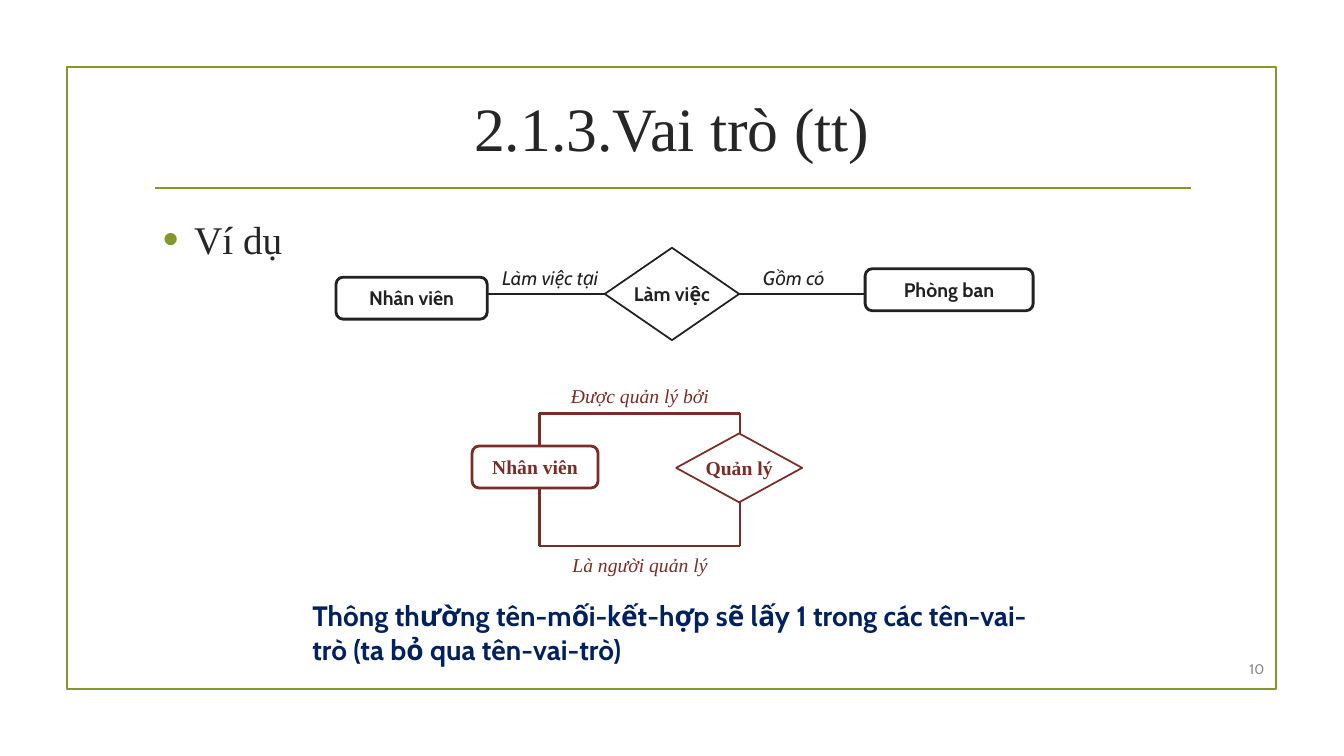
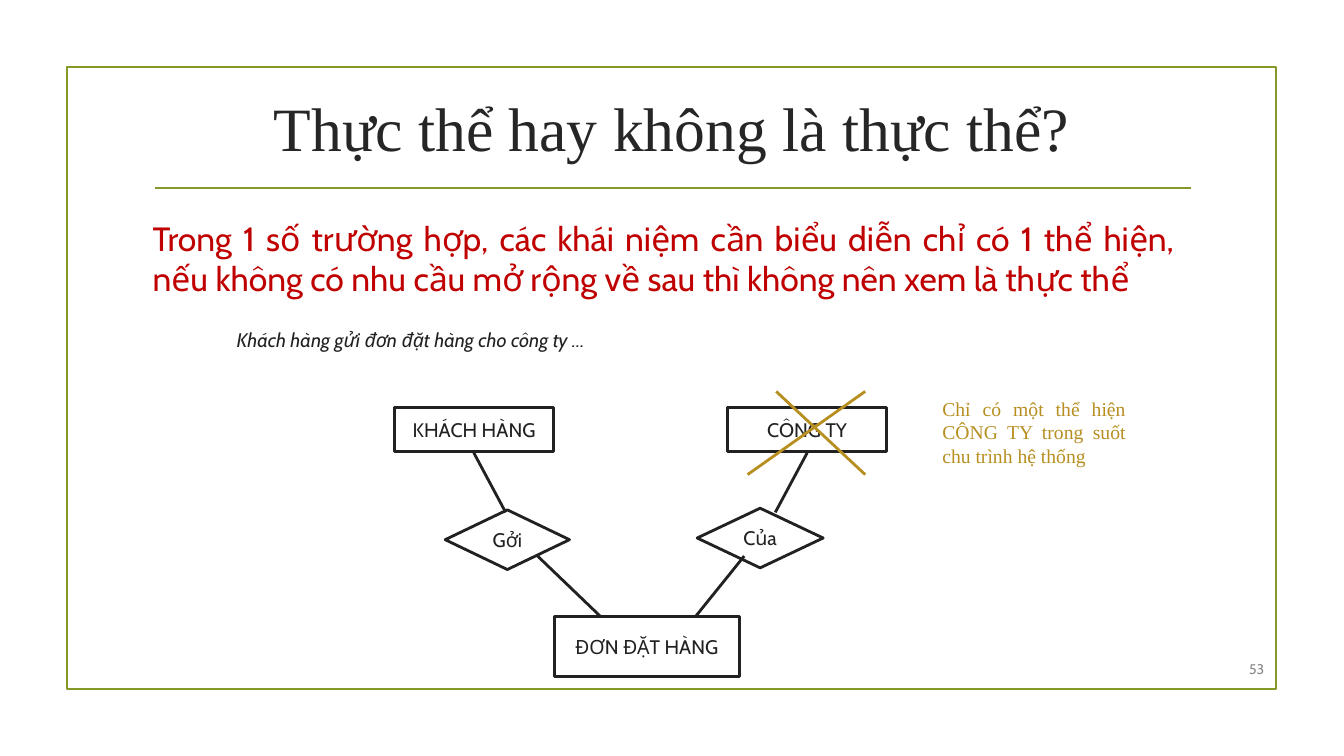
"""Build two slides on roles and entities in entity-relationship models."""
from dataclasses import dataclass
from itertools import pairwise

from lxml import etree
from pptx import Presentation
from pptx import util as u
from pptx.dml.color import RGBColor
from pptx.enum import shapes, text
from pptx.oxml import ns

COLUMNS, ROWS = 160, 90
SLIDE_WIDTH, SLIDE_HEIGHT = u.Inches(13.33), u.Inches(7.5)
ROUND, RECT, DIAMOND = (
    shapes.MSO_SHAPE.ROUNDED_RECTANGLE,
    shapes.MSO_SHAPE.RECTANGLE,
    shapes.MSO_SHAPE.DIAMOND,
)
LEFT, CENTER, RIGHT, JUSTIFY = (
    text.PP_ALIGN.LEFT,
    text.PP_ALIGN.CENTER,
    text.PP_ALIGN.RIGHT,
    text.PP_ALIGN.JUSTIFY,
)
TOP, MIDDLE = text.MSO_ANCHOR.TOP, text.MSO_ANCHOR.MIDDLE


@dataclass(frozen=True)
class Theme:
    """Colours, fonts, type sizes and line widths."""
    sans: str = "Cabin"
    serif: str = "Times New Roman"
    paper: str = "FFFFFF"
    heading: str = "262626"
    ink: str = "212121"
    green: str = "83992A"
    brown: str = "7A2D26"
    gold: str = "B78E20"
    navy: str = "002060"
    red: str = "C00000"
    grey: str = "898989"
    title: int = 44
    bullet: int = 28
    statement: int = 24
    note: int = 20
    label: int = 14
    number: int = 10
    thin: float = 1.25
    thick: float = 2


THEME = Theme()


def across(columns):
    """Turn grid columns into a length."""
    return u.Emu(round(SLIDE_WIDTH * columns / COLUMNS))


def down(rows):
    """Turn grid rows into a length."""
    return u.Emu(round(SLIDE_HEIGHT * rows / ROWS))


def area(left, top, width, height):
    """Turn a grid area into slide lengths."""
    return across(left), down(top), across(width), down(height)


def write(box, words, *, size=THEME.label, font=THEME.sans, color=THEME.ink,
          bold=False, italic=False, align=LEFT, anchor=TOP, wrap=True):
    """Put one formatted paragraph in a box and return it."""
    frame = box.text_frame
    frame.auto_size = text.MSO_AUTO_SIZE.NONE
    frame.word_wrap = wrap
    frame.vertical_anchor = anchor
    para = frame.paragraphs[0]
    para.alignment = align
    span = para.add_run()
    span.text = words
    span.font.name, span.font.size = font, u.Pt(size)
    span.font.bold, span.font.italic = bold, italic
    span.font.color.rgb = RGBColor.from_string(color)
    return para


def add_text(page, words, place, **style):
    """Add a text box on the grid."""
    write(page.shapes.add_textbox(*area(*place)), words, **style)


def stroke(line, color, width):
    """Set the colour and width of a line."""
    line.color.rgb = RGBColor.from_string(color)
    line.width = u.Pt(width)


def add_path(page, *points, color=THEME.ink, width=THEME.thick):
    """Join grid points with straight connectors."""
    for start, end in pairwise(points):
        connector = page.shapes.add_connector(
            shapes.MSO_CONNECTOR.STRAIGHT,
            across(start[0]), down(start[1]), across(end[0]), down(end[1]))
        stroke(connector.line, color, width)
        etree.SubElement(connector._element.spPr, ns.qn("a:effectLst"))


def add_outline(page, kind, place, color, width, fill=None):
    """Add an outlined preset shape, filled when a colour is given."""
    shape = page.shapes.add_shape(kind, *area(*place))
    shape.shadow.inherit = False
    if fill:
        shape.fill.solid()
        shape.fill.fore_color.rgb = RGBColor.from_string(fill)
    else:
        shape.fill.background()
    stroke(shape.line, color, width)
    return shape


def add_node(page, kind, words, place, *, color=THEME.ink, width=THEME.thick, **style):
    """Add an entity or relationship with its centred name."""
    node = add_outline(page, kind, place, color, width, THEME.paper)
    write(node, words, color=color, align=CENTER, anchor=MIDDLE, wrap=False, **style)


def add_bullet(page, words, place):
    """Fill the body placeholder with one bulleted line."""
    body = page.placeholders[1]
    body.left, body.top, body.width, body.height = area(*place)
    para = write(body, words, size=THEME.bullet, font=THEME.serif, color=THEME.heading)
    para.space_before, para.space_after = u.Pt(0), u.Pt(6)
    properties = para._p.get_or_add_pPr()
    indent = u.Inches(0.31)
    properties.set("marL", str(indent))
    properties.set("indent", str(-indent))
    color = etree.SubElement(properties, ns.qn("a:buClr"))
    etree.SubElement(color, ns.qn("a:srgbClr"), val=THEME.green)
    etree.SubElement(properties, ns.qn("a:buSzPct"), val="115000")
    etree.SubElement(properties, ns.qn("a:buFont"), typeface="Arial")
    etree.SubElement(properties, ns.qn("a:buChar"), char="•")


def add_page(deck, layout, title, number):
    """Add a slide with the shared frame, title, rule and number."""
    page = deck.slides.add_slide(deck.slide_layouts.get_by_name(layout))
    add_outline(page, RECT, (7.95, 8, 144, 74), THEME.green, THEME.thin)
    add_path(page, (18.4, 22.4), (141.75, 22.4), color=THEME.green, width=THEME.thin)
    heading = page.shapes.title
    heading.left, heading.top, heading.width, heading.height = area(17, 8.2, 126, 13.7)
    write(heading, title, size=THEME.title, font=THEME.serif, color=THEME.heading,
          align=CENTER, anchor=MIDDLE)
    add_text(page, number, (144.6, 77.8, 7.1, 3.7), size=THEME.number,
             color=THEME.grey, align=RIGHT, anchor=MIDDLE)
    return page


def draw_work_roles(page):
    """Draw the relationship between employee and department."""
    add_node(page, ROUND, "Phòng ban", (103, 32, 20, 5), bold=True)
    add_node(page, ROUND, "Nhân viên", (40, 33, 18, 5), bold=True)
    add_node(page, DIAMOND, "Làm việc", (72, 29.5, 16, 11), width=THEME.thin, bold=True)
    for start, end in ((58, 72), (88, 103)):
        add_path(page, (start, 35), (end, 35))
    for words, left in (("Làm việc tại", 58), ("Gồm có", 87)):
        add_text(page, words, (left, 31.1, 15, 4.1), italic=True, align=CENTER)


def draw_manager_roles(page):
    """Draw the relationship that links employee to itself."""
    employee, manager, upper, lower = 64.2, 88.1, 49.2, 65
    style = {"color": THEME.brown, "font": THEME.serif}
    add_path(page, (employee, 53.1), (employee, upper), (manager, upper),
             (manager, 52), color=THEME.brown)
    add_path(page, (employee, 58.1), (employee, lower), (manager, lower),
             (manager, 59.5), color=THEME.brown)
    add_node(page, ROUND, "Nhân viên", (56.2, 53.1, 15, 5), bold=True, **style)
    add_node(page, DIAMOND, "Quản lý", (80.5, 51.6, 15, 8.2),
             width=THEME.thin, bold=True, **style)
    for words, top in (("Được quản lý bởi", 45.1), ("Là người quản lý", 65.2)):
        add_text(page, words, (65.2, top, 22, 4.1), italic=True, align=CENTER, **style)


def draw_order_model(page):
    """Draw the order model with the company entity crossed out."""
    for kind, words, place in (
        (RECT, "KHÁCH HÀNG", (47, 48.5, 18.9, 5.3)),
        (RECT, "CÔNG TY", (86.65, 48.5, 18.9, 5.3)),
        (RECT, "ĐƠN ĐẶT HÀNG", (66, 73.4, 22, 7.1)),
        (DIAMOND, "Gởi", (53, 60.7, 14.8, 7.1)),
        (DIAMOND, "Của", (83, 60.5, 15, 7.1)),
    ):
        add_node(page, kind, words, place)
    for start, end in (
        ((56.4, 53.9), (60.2, 61)),
        ((64, 66.2), (71.5, 73.4)),
        ((96.1, 53.9), (92.3, 61)),
        ((88.6, 66.2), (82.8, 73.4)),
    ):
        add_path(page, start, end)
    for start, end in (((103, 46.6), (89, 56.5)), ((92.4, 46.6), (103, 56.5))):
        add_path(page, start, end, color=THEME.gold)


def main():
    """Build and save the deck."""
    deck = Presentation()
    deck.slide_width, deck.slide_height = SLIDE_WIDTH, SLIDE_HEIGHT

    roles = add_page(deck, "Title and Content", "2.1.3.Vai trò (tt)", "10")
    add_bullet(roles, "Ví dụ", (18.2, 25, 17.8, 8))
    draw_work_roles(roles)
    draw_manager_roles(roles)
    add_text(roles, "Thông thường tên-mối-kết-hợp sẽ lấy 1 trong các tên-vai-trò "
             "(ta bỏ qua tên-vai-trò)", (36, 70.7, 91, 9.2),
             size=THEME.note, color=THEME.navy, bold=True)

    entities = add_page(deck, "Title Only", "Thực thể hay không là thực thể?", "53")
    add_text(entities, "Trong 1 số trường hợp, các khái niệm cần biểu diễn chỉ có 1 "
             "thể hiện, nếu không có nhu cầu mở rộng về sau thì không nên xem là "
             "thực thể", (17, 22.9, 124, 15.7), size=THEME.statement,
             color=THEME.red, align=JUSTIFY, anchor=MIDDLE)
    add_text(entities, "Khách hàng gửi đơn đặt hàng cho công ty …",
             (27, 38.5, 52, 4.1), italic=True)
    draw_order_model(entities)
    add_text(entities, "Chỉ có một thể hiện CÔNG TY trong suốt chu trình hệ thống",
             (111, 46.6, 24.2, 9.7), font=THEME.serif, color=THEME.gold, align=JUSTIFY)

    deck.save("out.pptx")


if __name__ == "__main__":
    main()
